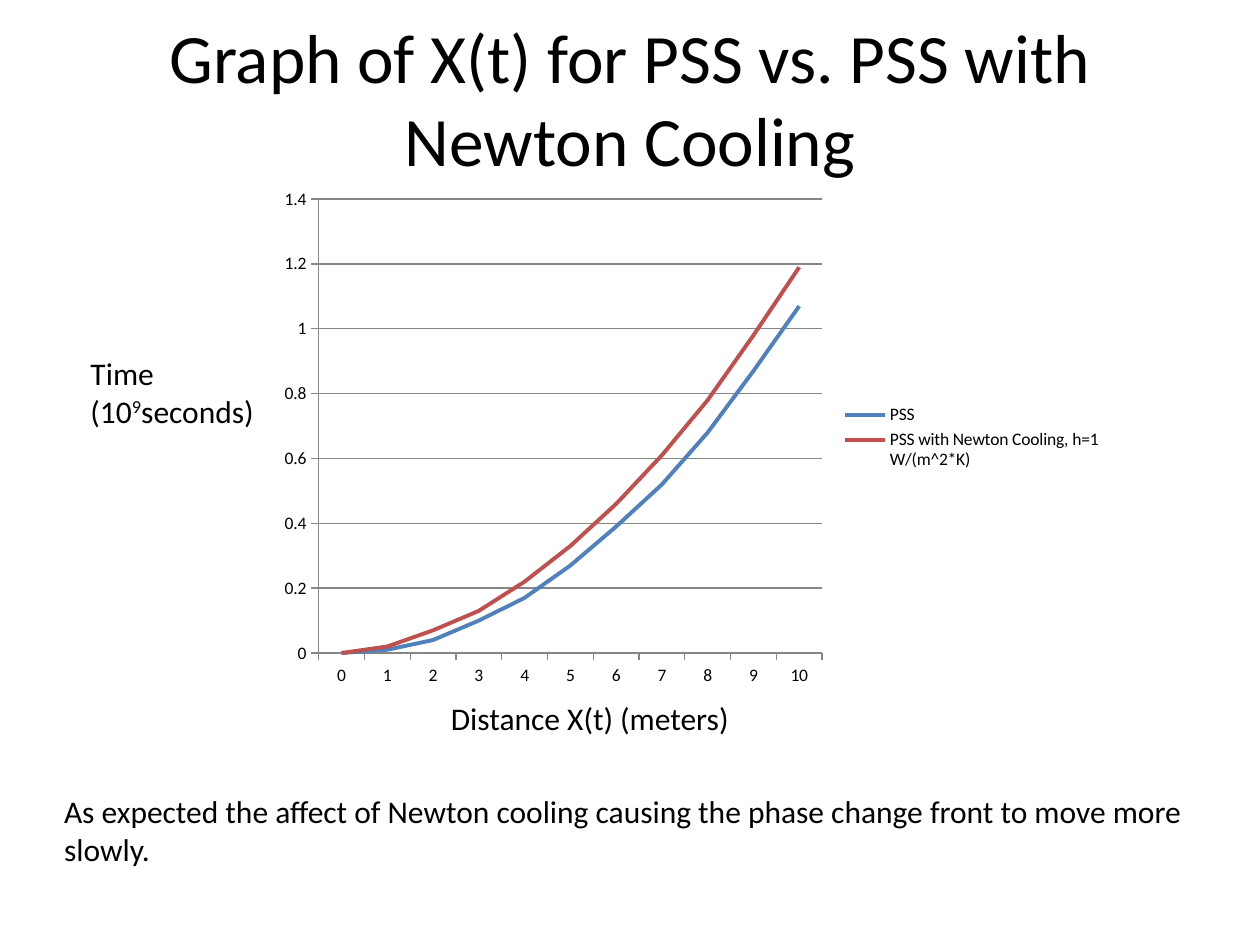
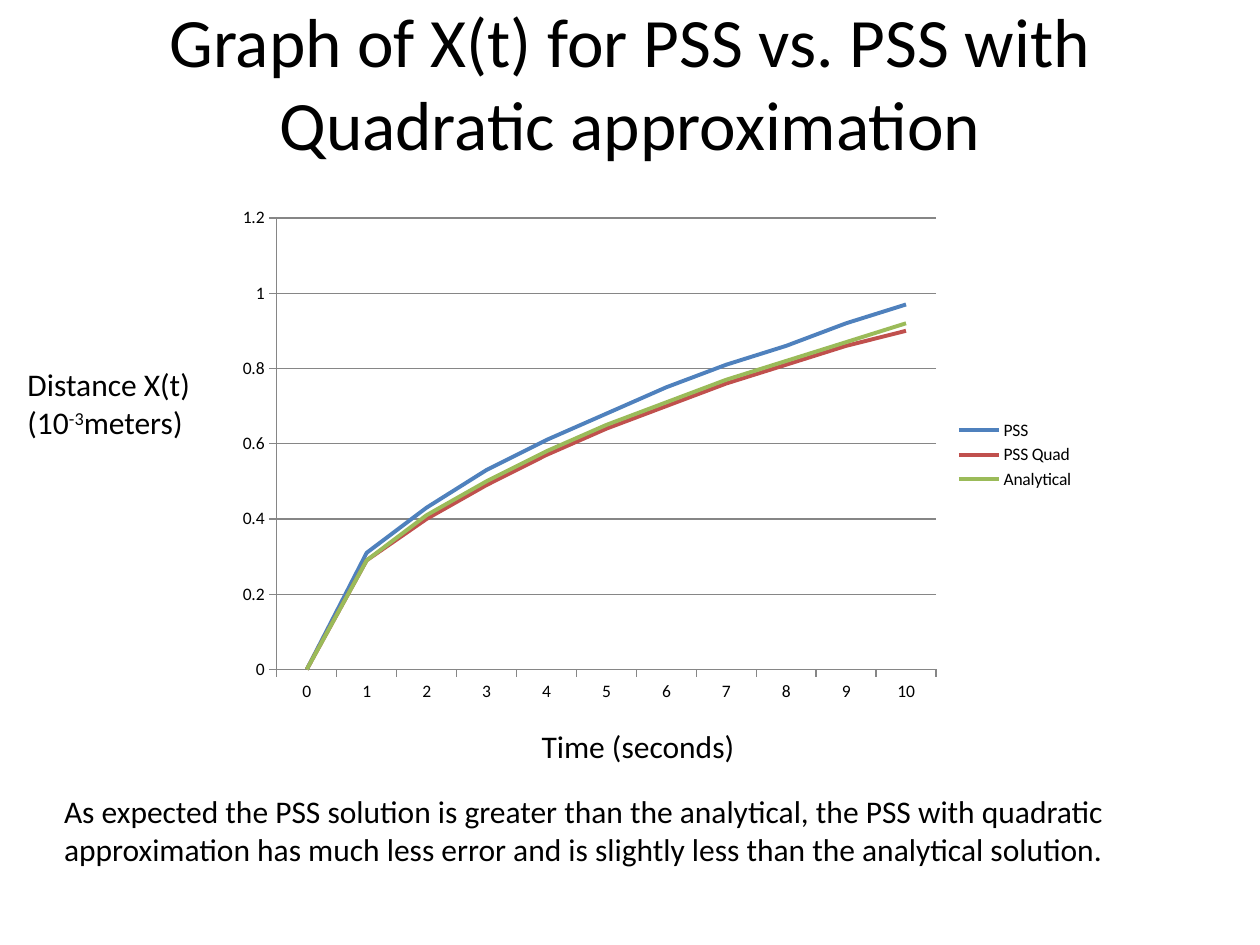
from dataclasses import dataclass

from pptx import Presentation
from pptx.chart.data import CategoryChartData
from pptx.dml.color import RGBColor
from pptx.enum.chart import XL_CHART_TYPE, XL_LEGEND_POSITION, XL_TICK_MARK
from pptx.enum.text import MSO_ANCHOR, MSO_AUTO_SIZE, PP_ALIGN
from pptx.util import Inches, Pt

LINE = XL_CHART_TYPE.LINE
RIGHT = XL_LEGEND_POSITION.RIGHT
OUTSIDE, NO_TICK = XL_TICK_MARK.OUTSIDE, XL_TICK_MARK.NONE
MIDDLE, CENTER = MSO_ANCHOR.MIDDLE, PP_ALIGN.CENTER
GROW, FIXED = MSO_AUTO_SIZE.SHAPE_TO_FIT_TEXT, MSO_AUTO_SIZE.NONE
TITLE_ONLY = 5


@dataclass(frozen=True)
class Theme:
    font: str = "Calibri"
    ink: RGBColor = RGBColor(0, 0, 0)
    paper: RGBColor = RGBColor(255, 255, 255)
    grid: RGBColor = RGBColor(0x86, 0x86, 0x86)
    series: tuple = tuple(map(RGBColor.from_string, ("4F81BD", "C0504D", "9BBB59")))
    title: float = 39.6
    body: float = 18
    chart: float = 10
    curve: float = 2.25
    rule: float = 0.75


THEME = Theme()
STEPS = range(11)
TITLE_SIZE = (9, 1.25)
NOTE_BOX = (0.41, 6.24, 9.41, 0.71)


def style(font, size):
    font.name, font.size, font.color.rgb = THEME.font, Pt(size), THEME.ink


def add_title(slide, text, top):
    title = slide.shapes.title
    title.left, title.top = Inches(0.5), Inches(top)
    title.width, title.height = map(Inches, TITLE_SIZE)
    frame = title.text_frame
    frame.text = text
    frame.auto_size, frame.vertical_anchor = FIXED, MIDDLE
    par = frame.paragraphs[0]
    par.alignment = CENTER
    style(par.font, THEME.title)


def add_label(slide, box, *parts):
    """Add a text box; every second part is a superscript."""
    frame = slide.shapes.add_textbox(*map(Inches, box)).text_frame
    frame.word_wrap, frame.auto_size = True, GROW
    par = frame.paragraphs[0]
    style(par.font, THEME.body)
    for index, part in enumerate(parts):
        run = par.add_run()
        run.text = part
        if index % 2:
            run.font._element.set("baseline", "30000")


def rule(line):
    line.color.rgb, line.width = THEME.grid, Pt(THEME.rule)


def add_graph(slide, box, curves, top):
    """Add a line chart whose value axis ends at top."""
    data = CategoryChartData()
    data.categories = STEPS
    for name, values in curves.items():
        data.add_series(name, values)
    chart = slide.shapes.add_chart(LINE, *map(Inches, box), data).chart
    style(chart.font, THEME.chart)
    chart.has_title = False
    chart.has_legend = True
    chart.legend.position = RIGHT
    chart.legend.include_in_layout = False

    for axis in (chart.category_axis, chart.value_axis):
        axis.major_tick_mark, axis.minor_tick_mark = OUTSIDE, NO_TICK
        rule(axis.format.line)
    scale = chart.value_axis
    scale.minimum_scale, scale.maximum_scale, scale.major_unit = 0, top, 0.2
    scale.has_major_gridlines = True
    rule(scale.major_gridlines.format.line)

    plot = chart.plots[0]
    plot.vary_by_categories = False
    for series, color in zip(plot.series, THEME.series):
        series.smooth = False
        series.format.line.color.rgb = color
        series.format.line.width = Pt(THEME.curve)


def add_page(deck):
    slide = deck.slides.add_slide(deck.slide_layouts[TITLE_ONLY])
    fill = slide.background.fill
    fill.solid()
    fill.fore_color.rgb = THEME.paper
    return slide


def add_cooling(deck):
    slide = add_page(deck)
    add_title(slide, "Graph of X(t) for PSS vs. PSS with Newton Cooling", 0.15)
    add_label(slide, (3.48, 5.5, 2.84, 0.4), "Distance X(t) (meters)")
    add_label(slide, (0.62, 2.76, 1.6, 0.71), "Time (10", "9", "seconds)")
    add_label(slide, NOTE_BOX,
              "As expected the affect of Newton cooling causing the phase "
              "change front to move more slowly.")
    add_graph(slide, (2.12, 1.42, 6.93, 4.1), {
        "PSS": (0, 0.01, 0.04, 0.1, 0.17, 0.27, 0.39, 0.52, 0.68, 0.87, 1.07),
        "PSS with Newton Cooling, h=1 W/(m^2*K)":
            (0, 0.02, 0.07, 0.13, 0.22, 0.33, 0.46, 0.61, 0.78, 0.98, 1.19),
    }, 1.4)


def add_quadratic(deck):
    slide = add_page(deck)
    add_title(slide, "Graph of X(t) for PSS vs. PSS with Quadratic approximation", 0.02)
    add_label(slide, (4.2, 5.72, 1.77, 0.4), "Time (seconds)")
    add_label(slide, (0.12, 2.85, 1.67, 0.71), "Distance X(t) (10", "-3", "meters)")
    add_label(slide, NOTE_BOX,
              "As expected the PSS solution is greater than the analytical, "
              "the PSS with quadratic approximation has much less error and "
              "is slightly less than the analytical solution.")
    add_graph(slide, (1.79, 1.57, 6.84, 4.08), {
        "PSS": (0, 0.31, 0.43, 0.53, 0.61, 0.68, 0.75, 0.81, 0.86, 0.92, 0.97),
        "PSS Quad": (0, 0.29, 0.4, 0.49, 0.57, 0.64, 0.7, 0.76, 0.81, 0.86, 0.9),
        "Analytical": (0, 0.29, 0.41, 0.5, 0.58, 0.65, 0.71, 0.77, 0.82, 0.87, 0.92),
    }, 1.2)


def main():
    deck = Presentation()
    deck.slide_width, deck.slide_height = Inches(10), Inches(7.5)
    add_cooling(deck)
    add_quadratic(deck)
    deck.save("out.pptx")


if __name__ == "__main__":
    main()
